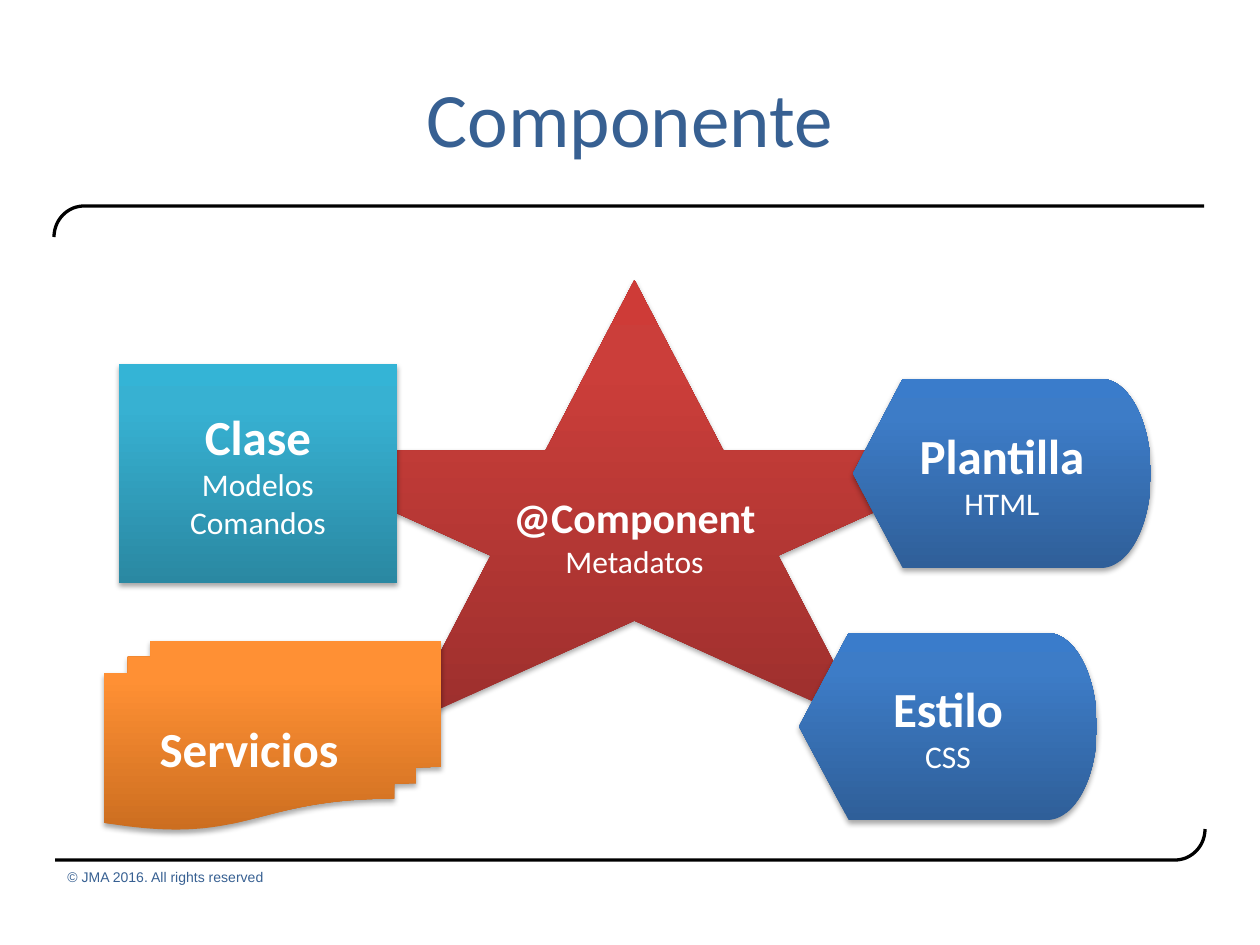
import copy
import math

import lxml.etree
import pptx
import pptx.dml.color
import pptx.enum.shapes
import pptx.enum.text
import pptx.oxml.ns
import pptx.util

KIND = pptx.enum.shapes.MSO_SHAPE
MID = pptx.enum.text.MSO_ANCHOR.MIDDLE
CENTER = pptx.enum.text.PP_ALIGN.CENTER
BLUE = ["2F5F99", "3D7CC7", "3A7CCB"]
RED = ["9C2F2D", "CB3E3A", "CE3B37"]
TEAL = ["2A88A2", "37B1D2", "34B4D6"]
GOLD = ["CC6E20", "FF9034", "FF9136"]
INK = "376092"

# kind, box, gradient, heading size, heading, lines below it
PARTS = [
    (KIND.STAR_5_POINT, (258, 280, 753, 446), RED, 24, "@Component", ["Metadatos"]),
    (KIND.FLOWCHART_DISPLAY, (853, 379, 298, 189), BLUE, 28, "Plantilla", ["HTML"]),
    (KIND.FLOWCHART_DISPLAY, (799, 633, 298, 187), BLUE, 28, "Estilo", ["CSS"]),
    (KIND.FLOWCHART_PREDEFINED_PROCESS, (119, 364, 278, 219), TEAL, 28, "Clase",
     ["Modelos", "Comandos"]),
    (KIND.FLOWCHART_MULTIDOCUMENT, (104, 641, 337, 189), GOLD, 28, "Servicios", []),
]


def px(n):
    return pptx.util.Emu(round(n * 914400 / 126))


def rgb(code):
    return pptx.dml.color.RGBColor.from_string(code)


def style(font, color, **values):
    font.color.rgb = rgb(color)
    for name, value in values.items():
        setattr(font, name, value)


def shade(shape, codes):
    """Fill with a gradient that rises from the bottom edge."""
    fill = shape.fill
    fill.gradient()
    fill.gradient_angle = 90
    stops = shape._element.spPr.find(".//" + pptx.oxml.ns.qn("a:gsLst"))
    stops.append(copy.deepcopy(stops[-1]))
    for stop, place, code in zip(fill.gradient_stops, (0, 0.8, 1), codes):
        stop.position = place
        stop.color.rgb = rgb(code)


def shadow(shape):
    shape.shadow.inherit = False
    qn = pptx.oxml.ns.qn
    root = shape._element.spPr.find(qn("a:effectLst"))
    drop = lxml.etree.SubElement(root, qn("a:outerShdw"), blurRad="40000",
                                 dist="23000", dir="5400000", rotWithShape="0")
    tint = lxml.etree.SubElement(drop, qn("a:srgbClr"), val="000000")
    lxml.etree.SubElement(tint, qn("a:alpha"), val="35000")


def part(slide, kind, box, codes, size, head, lines):
    shape = slide.shapes.add_shape(kind, *map(px, box))
    shade(shape, codes)
    shadow(shape)
    shape.line.fill.background()
    frame = shape.text_frame
    frame.word_wrap = True
    frame.vertical_anchor = MID
    for i, text in enumerate([head] + lines):
        para = frame.add_paragraph() if i else frame.paragraphs[0]
        para.alignment = CENTER
        run = para.add_run()
        run.text = text
        style(run.font, "FFFFFF", name="Calibri", bold=i == 0,
              size=pptx.util.Pt(18 if i else size))


def rule(slide, box, turn=False):
    """Draw a line with one rounded end; turn rotates it by half a circle."""
    left, top, width, height = box
    arc = [math.radians(a) for a in range(0, 91, 5)]
    dots = [(30 * (1 - math.cos(a)), height * (1 - math.sin(a))) for a in arc]
    dots.append((width, 0))
    if turn:
        dots = [(width - x, height - y) for x, y in dots]
    spots = [(px(left + x), px(top + y)) for x, y in dots]
    pen = slide.shapes.build_freeform(*spots[0])
    pen.add_line_segments(spots[1:], close=False)
    shape = pen.convert_to_shape()
    shape.shadow.inherit = False
    shape.fill.background()
    shape.line.color.rgb = rgb("000000")
    shape.line.width = pptx.util.Pt(1.88)


def title(slide, box, text):
    shape = slide.shapes.title
    for name, value in zip(("left", "top", "width", "height"), box):
        setattr(shape, name, px(value))
    frame = shape.text_frame
    frame.text = text
    frame.vertical_anchor = MID
    para = frame.paragraphs[0]
    para.alignment = CENTER
    style(para.runs[0].font, INK, name="Calibri", size=pptx.util.Pt(44))


def footer(slide, box, text):
    frame = slide.shapes.add_textbox(*map(px, box)).text_frame
    frame.word_wrap = False
    frame.auto_size = pptx.enum.text.MSO_AUTO_SIZE.SHAPE_TO_FIT_TEXT
    para = frame.paragraphs[0]
    para.line_spacing = 0.93
    run = para.add_run()
    run.text = text
    style(run.font, INK, name="Arial", size=pptx.util.Pt(8))


def main():
    deck = pptx.Presentation()
    deck.slide_width, deck.slide_height = px(1260), px(945)
    slide = deck.slides.add_slide(deck.slide_layouts[5])
    title(slide, (63, 38, 1134, 158), "Componente")
    footer(slide, (55, 864, 226, 29), "© JMA 2016. All rights reserved")
    rule(slide, (54, 206, 1150, 31))
    rule(slide, (55, 829, 1150, 31), turn=True)
    for item in PARTS:
        part(slide, *item)
    deck.save("out.pptx")


if __name__ == "__main__":
    main()
